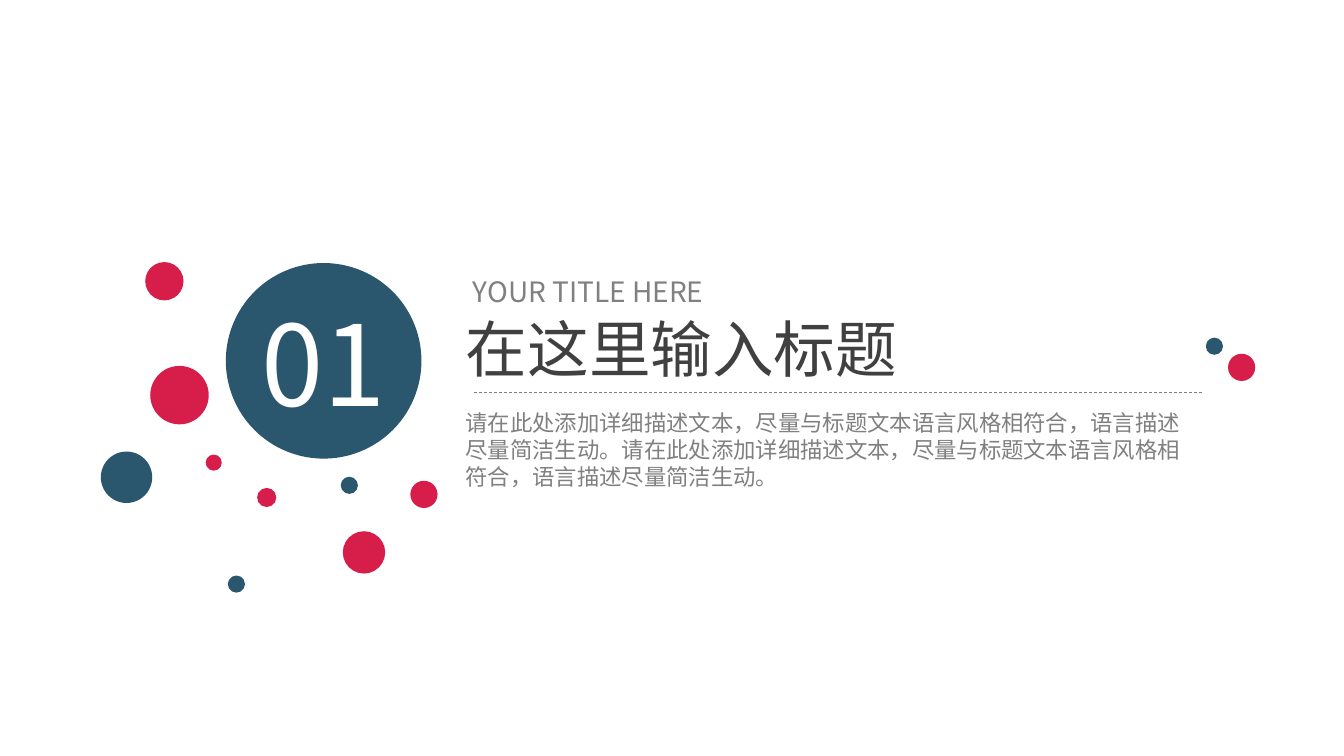
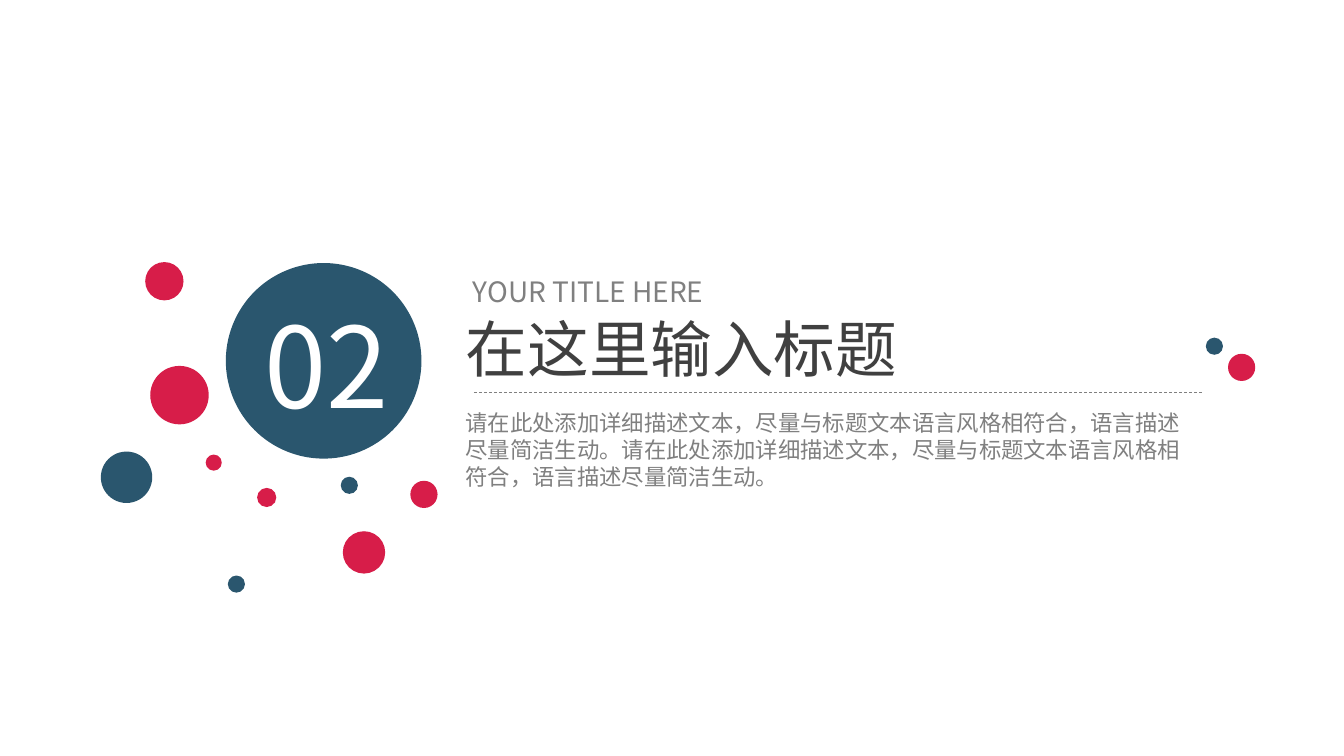
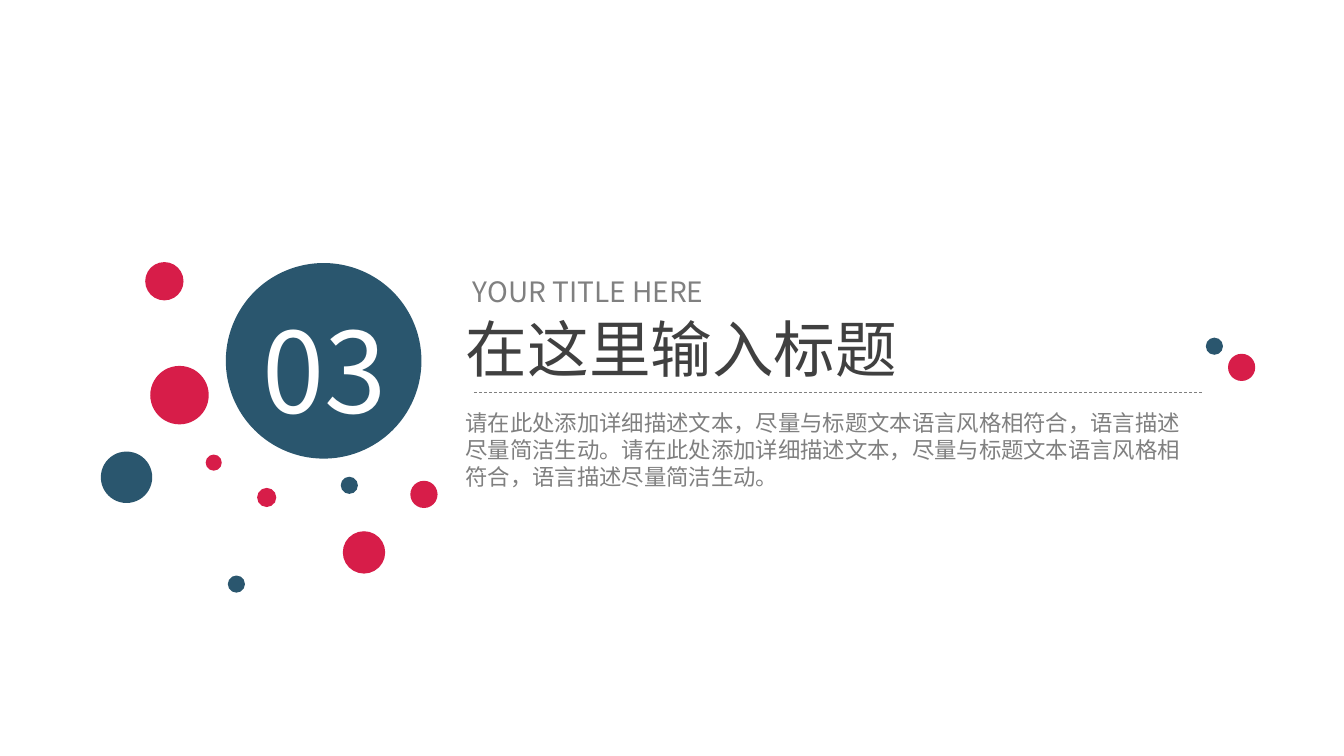
from pptx import Presentation
from pptx.dml.color import RGBColor
from pptx.enum import dml, shapes, text
from pptx.oxml.xmlchemy import OxmlElement
from pptx.util import Inches, Pt

FONT = "Noto Sans CJK SC"
LINE_HEIGHT = 1.2
COLORS = {"blue": "2A566E", "red": "D71D49", "title": "404040",
          "grey": "808080", "white": "FFFFFF"}

# Dots as (left, top, diameter, colour) from the corner of their cluster
LEFT_DOTS = [
    (0, 1.88, 0.51, "blue"), (1.04, 1.91, 0.16, "red"),
    (3.07, 2.17, 0.27, "red"), (2.38, 2.13, 0.17, "blue"),
    (2.4, 2.67, 0.42, "red"), (1.55, 2.24, 0.19, "red"),
    (0.44, 0, 0.38, "red"), (0.49, 1.03, 0.58, "red"),
    (1.26, 3.11, 0.17, "blue"),
]
RIGHT_DOTS = [(0, 0, 0.17, "blue"), (0.22, 0.16, 0.27, "red")]

TITLE = "在这里输入标题"
SUBTITLE = "YOUR TITLE HERE"
DESCRIPTION = "请在此处添加详细描述文本，尽量与标题文本语言风格相符合，语言描述尽量简洁生动。" * 2

# Number and its offset from the corner of the badge
SECTIONS = [("01", 0.21, 0.26), ("02", 0.24, 0.28), ("03", 0.22, 0.33)]


def rgb(name):
    return RGBColor.from_string(COLORS[name])


def write(sp, content, size, color, align=text.PP_ALIGN.LEFT, wrap=True):
    tf = sp.text_frame
    tf.word_wrap = wrap
    tf.auto_size = text.MSO_AUTO_SIZE.SHAPE_TO_FIT_TEXT
    tf.vertical_anchor = text.MSO_ANCHOR.TOP
    p = tf.paragraphs[0]
    p.alignment = align
    p.line_spacing = Pt(size * LINE_HEIGHT)
    r = p.add_run()
    r.text = content
    r.font.size = Pt(size)
    r.font.name = FONT
    r.font.color.rgb = rgb(color)
    east_asian = OxmlElement("a:ea")
    east_asian.set("typeface", FONT)
    r.font._element.append(east_asian)


def add_text(slide, x, y, w, h, *args, **kwargs):
    sp = slide.shapes.add_textbox(Inches(x), Inches(y), Inches(w), Inches(h))
    write(sp, *args, **kwargs)


def add_circle(slide, x, y, size, color):
    sp = slide.shapes.add_shape(shapes.MSO_SHAPE.OVAL, Inches(x), Inches(y),
                                Inches(size), Inches(size))
    sp.shadow.inherit = False
    sp.fill.solid()
    sp.fill.fore_color.rgb = rgb(color)
    sp.line.fill.background()


def add_dots(slide, x, y, dots):
    for dx, dy, size, color in dots:
        add_circle(slide, x + dx, y + dy, size, color)


def add_rule(slide, x, y, w):
    line = slide.shapes.add_connector(shapes.MSO_CONNECTOR.STRAIGHT, Inches(x),
                                      Inches(y), Inches(x + w), Inches(y))
    line.line.color.rgb = rgb("grey")
    line.line.width = Pt(0.5)
    line.line.dash_style = dml.MSO_LINE.DASH
    line._element.spPr.append(OxmlElement("a:effectLst"))


def add_heading(slide, x, y, w):
    """Subtitle, title, dashed rule and description, from top to bottom."""
    add_text(slide, x + 0.07, y, 7.02, 0.44, SUBTITLE, 20, "grey")
    title = slide.shapes.title
    title.left, title.top = Inches(x), Inches(y + 0.36)
    title.width, title.height = Inches(7.02), Inches(0.84)
    write(title, TITLE, 44, "title")
    add_rule(slide, x + 0.18, y + 1.22, w - 0.18)
    add_text(slide, x, y + 1.34, w, 0.91, DESCRIPTION, 16, "grey")


def add_badge(slide, x, y, number, dx, dy):
    add_circle(slide, x, y, 1.94, "blue")
    add_text(slide, x + dx, y + dy, 1.52, 1.45, number, 80, "white",
             align=text.PP_ALIGN.CENTER, wrap=False)


def add_section(prs, number, dx, dy):
    slide = prs.slides.add_slide(prs.slide_layouts[5])
    add_heading(slide, 4.52, 2.67, 7.41)
    add_dots(slide, 1, 2.6, LEFT_DOTS)
    add_dots(slide, 11.96, 3.35, RIGHT_DOTS)
    add_badge(slide, 2.24, 2.61, number, dx, dy)


def main():
    prs = Presentation()
    prs.slide_width, prs.slide_height = Inches(13.33), Inches(7.5)
    for section in SECTIONS:
        add_section(prs, *section)
    prs.save("out.pptx")


if __name__ == "__main__":
    main()
